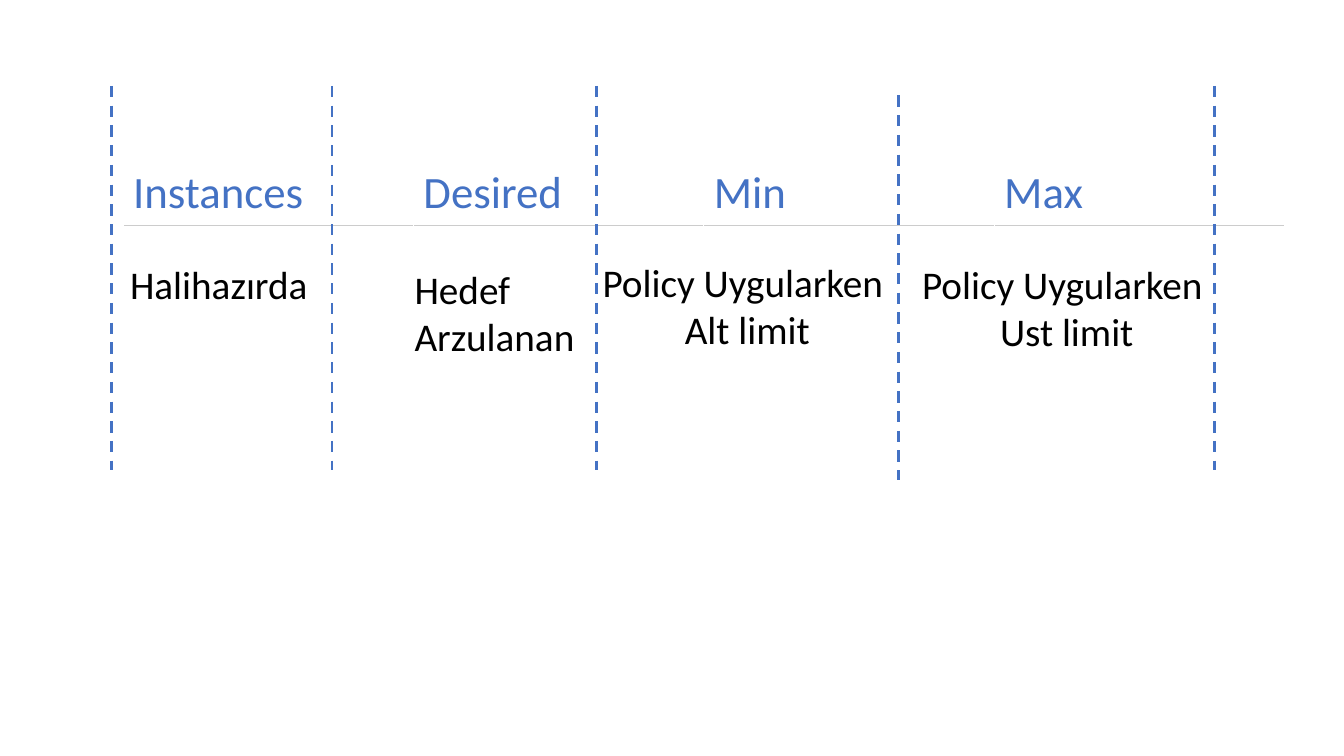
from dataclasses import dataclass

import lxml.etree
import pptx
import pptx.dml.color
import pptx.enum.dml
import pptx.enum.shapes
import pptx.enum.text
import pptx.oxml
import pptx.oxml.ns
import pptx.util

Inches = pptx.util.Inches
Align = pptx.enum.text.PP_ALIGN


@dataclass(frozen=True)
class Theme:
    font: str = "Calibri"
    accent: str = "4472C4"
    text: str = "000000"
    paper: str = "FFFFFF"
    rule: str = "CCCCCC"
    heading_size: float = 32
    note_size: float = 28
    divider_width: float = 2
    border_width: float = 0.75


@dataclass(frozen=True)
class Grid:
    """Header row of the table; positions are counted in its columns and rows."""
    left: float
    top: float
    column: float
    row: float

    def x(self, columns):
        return Inches(self.left + columns * self.column)

    def y(self, rows):
        return Inches(self.top + rows * self.row)

    def size(self, columns, rows):
        return Inches(columns * self.column), Inches(rows * self.row)


THEME = Theme()
HEADER = Grid(left=1.22, top=1.59, column=2.88, row=0.63)
HEADINGS = ["Instances", "Desired", "Min", "Max"]
# column, row, width, lines, alignment
NOTES = [
    (-0.01, 1.49, 0.69, ["Halihazırda"], Align.LEFT),
    (0.97, 1.57, 0.66, ["Hedef", "Arzulanan"], Align.LEFT),
    (1.61, 1.46, 1.08, ["Policy Uygularken ", "Alt limit"], Align.CENTER),
    (2.71, 1.49, 1.08, ["Policy Uygularken ", "Ust limit"], Align.CENTER),
]
NOTE_HEIGHTS = {1: 0.9, 2: 1.65}
# column, row of the upper end
DIVIDERS = [(0.72, -1.17), (1.63, -1.17), (2.67, -1.02), (3.76, -1.17), (-0.04, -1.17)]
DIVIDER_ROWS = 6.05


def rgb(value):
    return pptx.dml.color.RGBColor.from_string(value)


def style_text(text_frame, size, color, alignment=Align.LEFT):
    for paragraph in text_frame.paragraphs:
        paragraph.alignment = alignment
        for run in paragraph.runs:
            run.font.name = THEME.font
            run.font.size = pptx.util.Pt(size)
            run.font.color.rgb = rgb(color)


def add_border(cell, position, side, color):
    width = pptx.util.Pt(THEME.border_width)
    border = pptx.oxml.parse_xml(
        f'<a:{side} {pptx.oxml.ns.nsdecls("a")} w="{width}"><a:solidFill>'
        f'<a:srgbClr val="{color}"/></a:solidFill></a:{side}>')
    cell._tc.get_or_add_tcPr().insert(position, border)


def add_header_table(slide, grid):
    frame = slide.shapes.add_table(1, len(HEADINGS), grid.x(0), grid.y(0),
                                   *grid.size(len(HEADINGS), 1))
    table = frame.table
    table.first_row = False
    table.horz_banding = False
    for cell, heading in zip(table.iter_cells(), HEADINGS):
        cell.text_frame.text = heading
        cell.vertical_anchor = pptx.enum.text.MSO_ANCHOR.MIDDLE
        cell.fill.solid()
        cell.fill.fore_color.rgb = rgb(THEME.paper)
        add_border(cell, 0, "lnT", THEME.paper)
        add_border(cell, 1, "lnB", THEME.rule)
        style_text(cell.text_frame, THEME.heading_size, THEME.accent)


def add_notes(slide, grid):
    for column, row, width, lines, alignment in NOTES:
        size = grid.size(width, NOTE_HEIGHTS[len(lines)])
        shape = slide.shapes.add_textbox(grid.x(column), grid.y(row), *size)
        text_frame = shape.text_frame
        text_frame.text = "\n".join(lines)
        text_frame.word_wrap = False
        text_frame.auto_size = pptx.enum.text.MSO_AUTO_SIZE.SHAPE_TO_FIT_TEXT
        style_text(text_frame, THEME.note_size, THEME.text, alignment)


def add_dividers(slide, grid):
    for column, row in DIVIDERS:
        x = grid.x(column)
        connector = slide.shapes.add_connector(
            pptx.enum.shapes.MSO_CONNECTOR.STRAIGHT,
            x, grid.y(row), x, grid.y(row + DIVIDER_ROWS))
        connector.line.color.rgb = rgb(THEME.accent)
        connector.line.width = pptx.util.Pt(THEME.divider_width)
        connector.line.dash_style = pptx.enum.dml.MSO_LINE.DASH
        lxml.etree.SubElement(connector._element.spPr, pptx.oxml.ns.qn("a:effectLst"))


def main():
    presentation = pptx.Presentation()
    presentation.slide_width = Inches(13.33)
    presentation.slide_height = Inches(7.5)
    slide = presentation.slides.add_slide(presentation.slide_layouts[6])
    add_header_table(slide, HEADER)
    add_notes(slide, HEADER)
    add_dividers(slide, HEADER)
    presentation.save("out.pptx")


if __name__ == "__main__":
    main()
